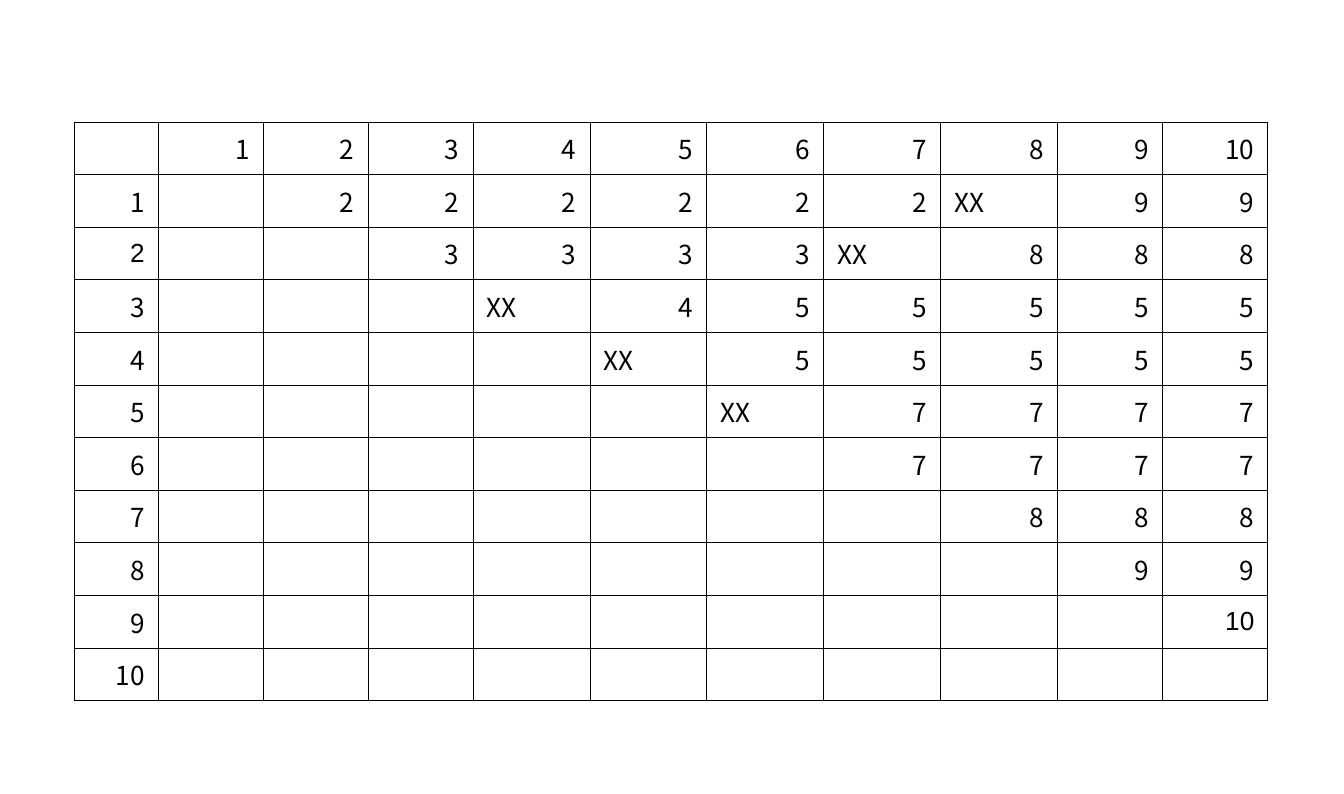
from dataclasses import dataclass

from lxml import etree
from pptx import Presentation
from pptx.dml.color import RGBColor
from pptx.enum.text import MSO_ANCHOR, PP_ALIGN
from pptx.oxml.ns import qn
from pptx.util import Pt

LEFT, RIGHT = PP_ALIGN.LEFT, PP_ALIGN.RIGHT
MIDDLE = MSO_ANCHOR.MIDDLE
BLANK_LAYOUT = 6
SCALE = 6804  # EMU in one px


@dataclass(frozen=True)
class Theme:
    ink: str = "000000"
    paper: str = "FFFFFF"
    font: str = "Noto Sans CJK JP"
    other_font: str = "Arial"
    size: float = 14
    border: float = 0.45


THEME = Theme()
PAGE_SIZE = (1344, 794)
MATRIX_BOX = (74, 122, 1194, 579)
COLUMN_WIDTHS = [84] + [105] * 3 + [117] * 5 + [105] * 2
HANGING_INDENT = 51

# Each row of the upper triangle, from its first filled cell to the last column
TRIANGLE = [
    "2 2 2 2 2 2 XX 9 9",
    "3 3 3 3 XX 8 8 8",
    "XX 4 5 5 5 5 5",
    "XX 5 5 5 5 5",
    "XX 7 7 7 7",
    "7 7 7 7",
    "8 8 8",
    "9 9",
    "10",
    "",
]
NODE_COUNT = len(TRIANGLE)
OTHER_FONT_CELLS = {(2, 0), (9, 10)}


def px(length):
    return length * SCALE


def matrix_rows():
    """Header row, then each node number with its right-aligned entries."""
    yield [""] + [str(node) for node in range(1, NODE_COUNT + 1)]
    for node, entries in enumerate(TRIANGLE, start=1):
        values = entries.split()
        yield [str(node)] + [""] * (NODE_COUNT - len(values)) + values


def draw_borders(cell):
    properties = cell._tc.get_or_add_tcPr()
    for side in ("a:lnL", "a:lnR", "a:lnT", "a:lnB"):
        line = etree.SubElement(properties, qn(side), w=str(Pt(THEME.border)))
        fill = etree.SubElement(line, qn("a:solidFill"))
        etree.SubElement(fill, qn("a:srgbClr"), val=THEME.ink)


def write_cell(cell, text, font_name):
    draw_borders(cell)
    cell.fill.background()
    cell.vertical_anchor = MIDDLE
    para = cell.text_frame.paragraphs[0]
    if not text:
        # Keep an empty cell from growing to the default type size
        etree.SubElement(para._p, qn("a:endParaRPr"), sz=str(int(THEME.size * 100)))
        return
    para.alignment = RIGHT if text.isdigit() else LEFT
    indents = {"marL": px(HANGING_INDENT), "indent": -px(HANGING_INDENT)}
    for name, value in indents.items():
        para._p.get_or_add_pPr().set(name, str(value))
    span = para.add_run()
    span.text = text
    for name, value in {"name": font_name, "size": Pt(THEME.size)}.items():
        setattr(span.font, name, value)
    span.font.color.rgb = RGBColor.from_string(THEME.ink)


def add_matrix(page, box):
    rows = list(matrix_rows())
    frame = page.shapes.add_table(len(rows), len(rows[0]), *map(px, box))
    table = frame.table
    table.first_row = table.horz_banding = False
    for column, width in zip(table.columns, COLUMN_WIDTHS):
        column.width = px(width)
    for row_index, row in enumerate(rows):
        for column_index, text in enumerate(row):
            place = (row_index, column_index)
            font_name = THEME.other_font if place in OTHER_FONT_CELLS else THEME.font
            write_cell(table.cell(*place), text, font_name)


def main():
    deck = Presentation()
    deck.slide_width, deck.slide_height = map(px, PAGE_SIZE)
    page = deck.slides.add_slide(deck.slide_layouts[BLANK_LAYOUT])
    page.background.fill.solid()
    page.background.fill.fore_color.rgb = RGBColor.from_string(THEME.paper)
    add_matrix(page, MATRIX_BOX)
    deck.save("out.pptx")


if __name__ == "__main__":
    main()
